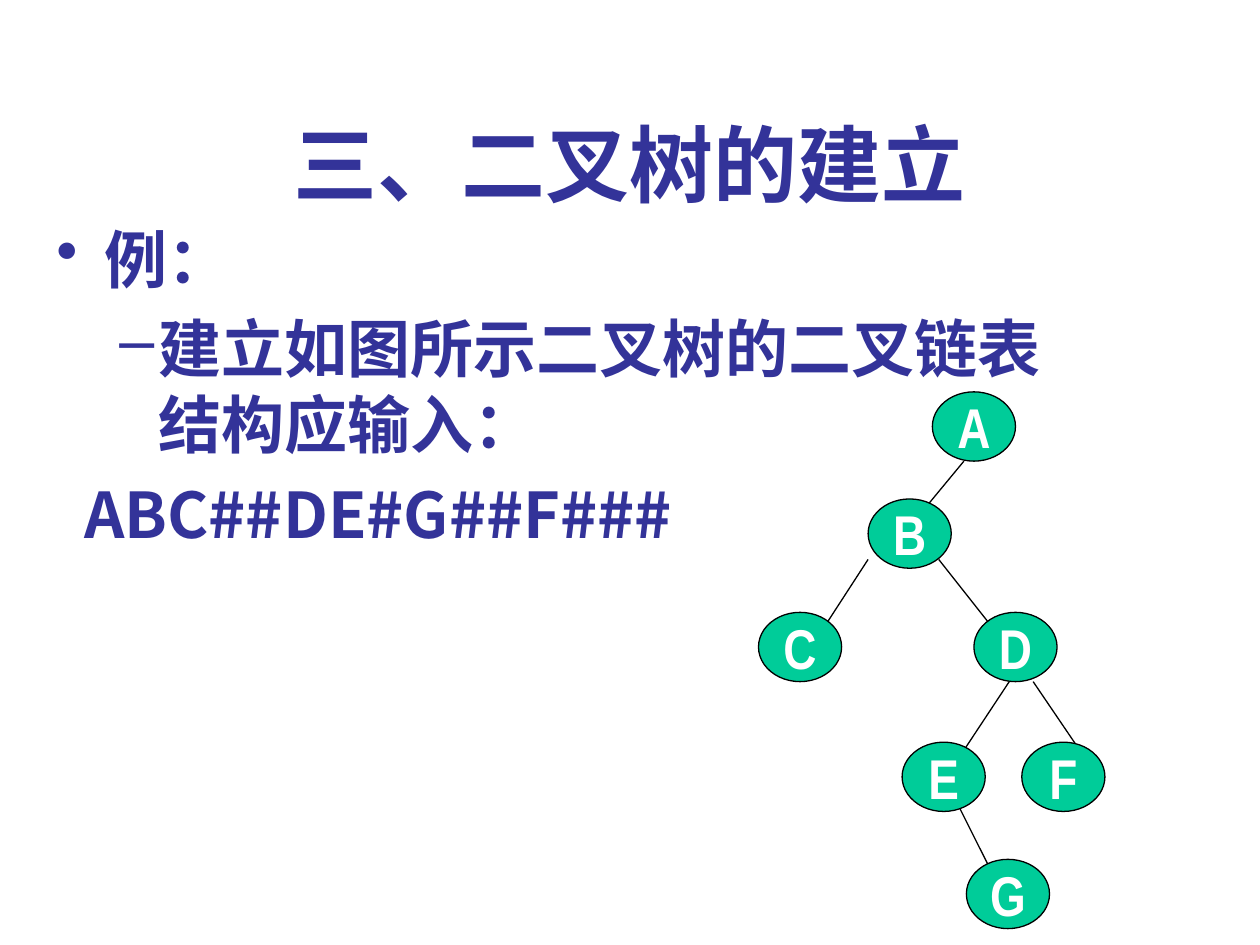
from lxml import etree
from pptx import Presentation
from pptx.dml.color import RGBColor
from pptx.enum.shapes import MSO_CONNECTOR, MSO_SHAPE
from pptx.enum.text import MSO_ANCHOR, PP_ALIGN
from pptx.oxml.ns import qn
from pptx.util import Inches, Pt

LINE, OVAL = MSO_CONNECTOR.STRAIGHT, MSO_SHAPE.OVAL
MIDDLE, TOP = MSO_ANCHOR.MIDDLE, MSO_ANCHOR.TOP
CENTER, LEFT = PP_ALIGN.CENTER, PP_ALIGN.LEFT
NAVY = RGBColor(0x33, 0x33, 0x99)
GREEN = RGBColor(0x00, 0xCC, 0x99)
BLACK = RGBColor(0, 0, 0)
WHITE = RGBColor(255, 255, 255)

BODY = [
    ("例：", 0.38, -0.38, "•"),
    ("建立如图所示二叉树的二叉链表结构应输入：", 0.81, -0.31, "–"),
    ("ABC##DE#G##F###", 0.22, 0, None),
]
EDGES = [
    (7.65, 3.66, 7.27, 4.12),
    (6.89, 4.44, 6.52, 5.01),
    (7.45, 4.44, 7.9, 5.01),
    (8.01, 5.41, 7.64, 5.97),
    (8.2, 5.41, 8.58, 5.97),
    (7.62, 6.42, 7.9, 6.98),
]
NODES = {
    "A": (7.4, 3.11),
    "B": (6.89, 3.96),
    "C": (6.02, 4.86),
    "D": (7.73, 4.86),
    "E": (7.16, 5.89),
    "F": (8.11, 5.89),
    "G": (7.67, 6.82),
}


class Deck:
    """Holds the style and the current slide."""

    face = "Noto Sans CJK SC"
    label = "Arial Narrow"

    def __init__(self, slide):
        self.slide = slide

    def font(self, para, name, size, color):
        font = para.font
        font.size, font.bold, font.name = Pt(size), True, name
        font.color.rgb = color
        props = para._p.get_or_add_pPr().find(qn("a:defRPr"))
        etree.SubElement(props, qn("a:ea")).set("typeface", name)

    def box(self, x, y, w, h, anchor):
        shape = self.slide.shapes.add_textbox(
            Inches(x), Inches(y), Inches(w), Inches(h))
        frame = shape.text_frame
        frame.word_wrap, frame.vertical_anchor = True, anchor
        return frame

    def title(self, text, *area):
        para = self.box(*area, MIDDLE).paragraphs[0]
        para.text, para.alignment = text, CENTER
        self.font(para, self.face, 48, NAVY)

    def body(self, items, *area):
        frame = self.box(*area, TOP)
        for i, (text, left, hang, mark) in enumerate(items):
            para = frame.add_paragraph() if i else frame.paragraphs[0]
            para.text, para.alignment = text, LEFT
            if i:
                para.space_before = Pt(8)
            props = para._p.get_or_add_pPr()
            props.set("marL", str(Inches(left)))
            props.set("indent", str(Inches(hang)))
            if mark:
                etree.SubElement(props, qn("a:buChar")).set("char", mark)
            self.font(para, self.face, 36, NAVY)

    def edge(self, *ends):
        line = self.slide.shapes.add_connector(LINE, *map(Inches, ends))
        line.line.color.rgb, line.line.width = BLACK, Pt(0.75)
        etree.SubElement(line._element.spPr, qn("a:effectLst"))

    def node(self, text, x, y):
        oval = self.slide.shapes.add_shape(
            OVAL, Inches(x), Inches(y), Inches(0.66), Inches(0.55))
        oval.shadow.inherit = False
        oval.fill.solid()
        oval.fill.fore_color.rgb = GREEN
        oval.line.color.rgb, oval.line.width = BLACK, Pt(0.75)
        frame = oval.text_frame
        frame.word_wrap, frame.vertical_anchor = False, MIDDLE
        para = frame.paragraphs[0]
        para.text, para.alignment = text, CENTER
        self.font(para, self.label, 32, WHITE)


def main():
    prs = Presentation()
    prs.slide_width, prs.slide_height = Inches(10), Inches(7.5)
    deck = Deck(prs.slides.add_slide(prs.slide_layouts[6]))
    deck.title("三、二叉树的建立", 0.75, 0.67, 8.5, 1.25)
    deck.body(BODY, 0.35, 1.7, 8.5, 4.5)
    for ends in EDGES:
        deck.edge(*ends)
    for text, spot in NODES.items():
        deck.node(text, *spot)
    prs.save("out.pptx")


if __name__ == "__main__":
    main()
